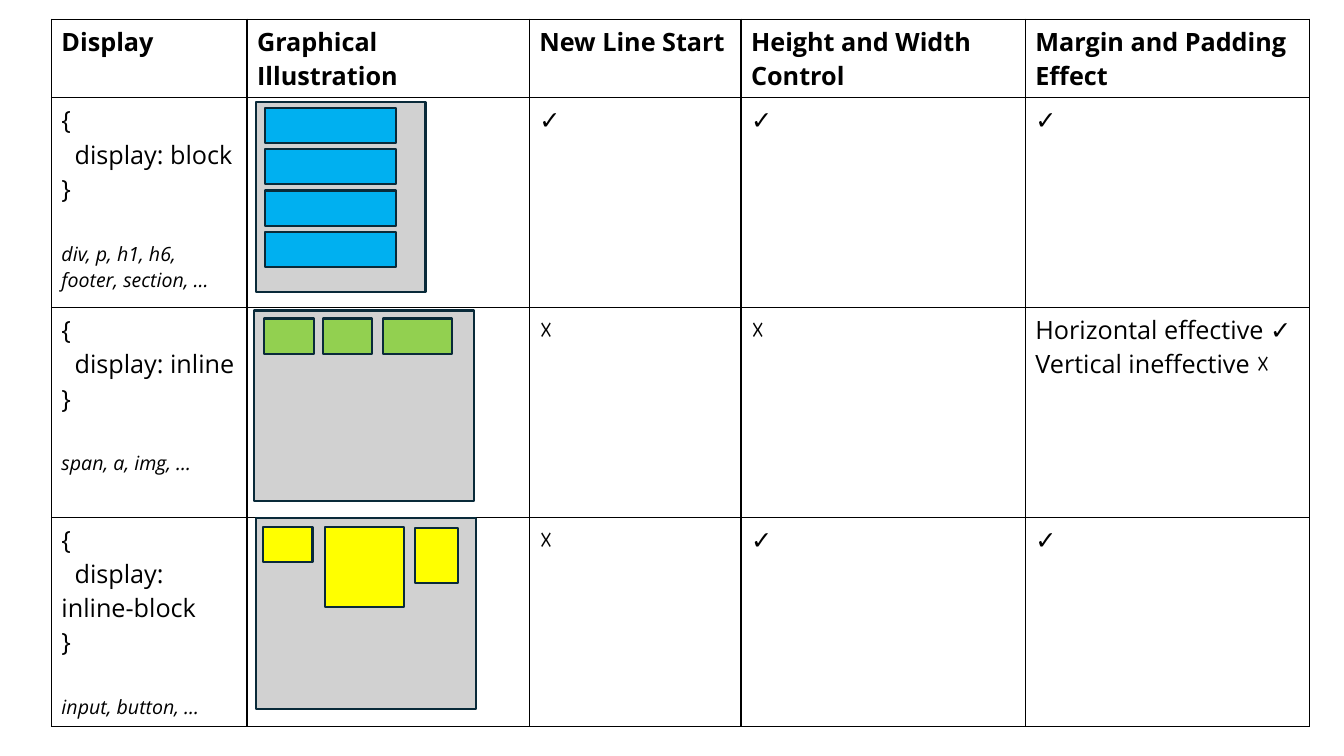
from lxml.etree import SubElement
from pptx import Presentation
from pptx.dml.color import RGBColor
from pptx.enum.shapes import MSO_SHAPE
from pptx.oxml.ns import qn
from pptx.util import Inches, Pt

COLORS = {
    "text": "000000", "border": "000000", "outline": "092A39",
    "container": "D1D1D1", "block": "00B0F0", "inline": "92D050",
    "inline_block": "FFFF00",
}
BODY = {"size": Pt(18), "bold": False, "italic": False}
BOLD = {**BODY, "bold": True}
EXAMPLE = {"size": Pt(14), "bold": False, "italic": True}
YES, NO = "✓", "☓"


class DisplaySlide:
    font_name = "Open Sans"

    def __init__(self, presentation):
        self.slide = presentation.slides.add_slide(presentation.slide_layouts[6])

    def paragraph(self, frame, runs, first=False, space_before=0, indent=0):
        """Write (text, format) runs; indent moves only the first line."""
        line = frame.paragraphs[0] if first else frame.add_paragraph()
        line.space_before = Pt(space_before)
        if indent:
            properties = line._p.get_or_add_pPr()
            properties.set("marL", "0")
            properties.set("indent", str(Inches(indent)))
        for text, style in runs:
            run = line.add_run()
            run.text = text
            run.font.color.rgb = RGBColor.from_string(COLORS["text"])
            for name, value in {"name": self.font_name, **style}.items():
                setattr(run.font, name, value)

    def cell(self, cell, paragraphs):
        """Fill a cell with (runs, paragraph options) pairs and rule all sides."""
        properties = cell._tc.get_or_add_tcPr()
        for side in ("lnL", "lnR", "lnT", "lnB"):
            border = SubElement(properties, qn(f"a:{side}"), w=str(Pt(1)))
            fill = SubElement(border, qn("a:solidFill"))
            SubElement(fill, qn("a:srgbClr"), val=COLORS["border"])
        cell.fill.background()
        for index, (runs, options) in enumerate(paragraphs):
            self.paragraph(cell.text_frame, runs, first=index == 0, **options)

    def table(self, left, top, widths, heights, rows):
        frame = self.slide.shapes.add_table(
            len(heights), len(widths), Inches(left), Inches(top),
            Inches(sum(widths)), Inches(sum(heights)))
        table = frame.table
        for name in ("first_row", "horz_banding"):
            setattr(table, name, False)
        for column, width in zip(table.columns, widths):
            column.width = Inches(width)
        for row, height, contents in zip(table.rows, heights, rows):
            row.height = Inches(height)
            for cell, paragraphs in zip(row.cells, contents):
                self.cell(cell, paragraphs)

    def box(self, parent, bounds, color):
        box = parent.shapes.add_shape(MSO_SHAPE.RECTANGLE, *map(Inches, bounds))
        box.shadow.inherit = False
        box.fill.solid()
        box.fill.fore_color.rgb = RGBColor.from_string(COLORS[color])
        box.line.color.rgb = RGBColor.from_string(COLORS["outline"])
        box.line.width = Pt(1.5)

    def illustration(self, container, elements, color):
        group = self.slide.shapes.add_group_shape()
        self.box(group, container, "container")
        for bounds in elements:
            self.box(group, bounds, color)


def bold_line(text):
    return [([(text, BOLD)], {})]


def rule(value, examples):
    """CSS rule with the elements it applies to below."""
    return [
        ([("{", BODY)], {}),
        ([(f"display: {value}", BODY)], {"indent": 0.13}),
        ([("}", BODY)], {}),
        ([(examples, EXAMPLE)], {"space_before": 24.5}),
    ]


def main():
    presentation = Presentation()
    presentation.slide_width = Inches(13.33)
    presentation.slide_height = Inches(7.5)
    page = DisplaySlide(presentation)

    headings = ["Display", "Graphical Illustration", "New Line Start",
                "Height and Width Control", "Margin and Padding Effect"]
    inline_effect = [
        ([("Horizontal effective ", BODY), (YES, BOLD)], {}),
        ([("Vertical ineffective ", BODY), (NO, BOLD)], {}),
    ]
    yes, no = bold_line(YES), bold_line(NO)
    rows = [
        [bold_line(heading) for heading in headings],
        [rule("block", "div, p, h1, h6, footer, section, …"), [], yes, yes, yes],
        [rule("inline", "span, a, img, …"), [], no, no, inline_effect],
        [rule("inline-block", "input, button, …"), [], no, yes, yes],
    ]
    page.table(0.51, 0.19, [1.94, 2.8, 2.1, 2.82, 2.82],
               [0.71] + [2.08] * 3, rows)

    page.illustration(
        (2.54, 1.01, 1.68, 1.89),
        [(2.63, 1.07 + 0.41 * index, 1.3, 0.35) for index in range(4)],
        "block")
    page.illustration(
        (2.52, 3.08, 2.18, 1.89),
        [(left, 3.16, width, 0.35)
         for left, width in ((2.62, 0.49), (3.2, 0.49), (3.8, 0.68))],
        "inline")
    page.illustration(
        (2.54, 5.14, 2.18, 1.89),
        [(2.61, 5.23, 0.49, 0.35), (3.22, 5.23, 0.79, 0.79),
         (4.12, 5.24, 0.42, 0.54)],
        "inline_block")
    presentation.save("out.pptx")


if __name__ == "__main__":
    main()
